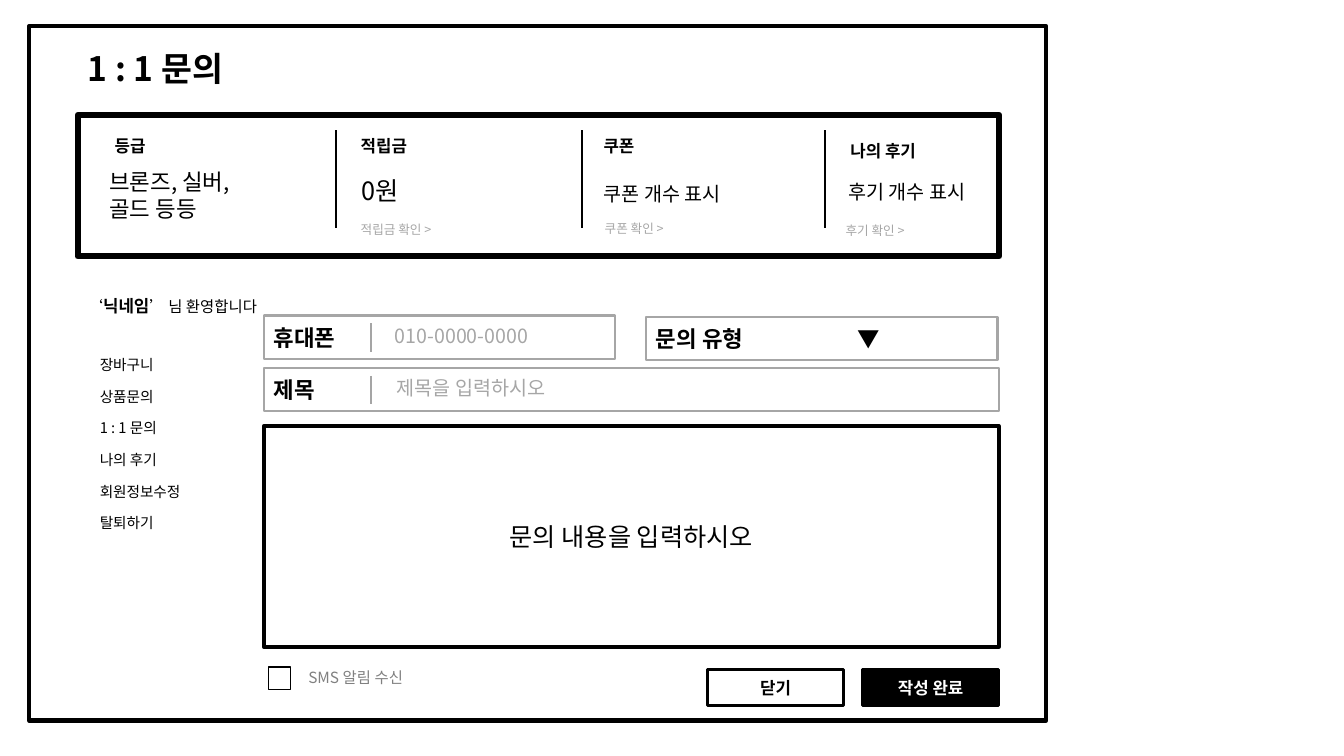
import pptx
import pptx.util
import pptx.dml.color
import pptx.enum.shapes
import pptx.enum.text
import pptx.oxml.ns
import lxml.etree

Cm, Pt = pptx.util.Cm, pptx.util.Pt
RGB = pptx.dml.color.RGBColor
ALIGN, ANCHOR = pptx.enum.text.PP_ALIGN, pptx.enum.text.MSO_ANCHOR
qn = pptx.oxml.ns.qn

FONT = "Noto Sans CJK KR"
BLACK, WHITE = RGB(0, 0, 0), RGB(255, 255, 255)
SILVER, RULE, GRAY = RGB(0xA6, 0xA6, 0xA6), RGB(0xA5, 0xA5, 0xA5), RGB(0x80, 0x80, 0x80)

# Content; positions and lengths in cm
TITLE = "1 : 1 문의"
GREETING = [("‘", 11, False), ("닉네임", 12, True), ("’ 님 환영합니다", 11, False)]
MENU = ["장바구니", "상품문의", "1 : 1 문의", "나의 후기", "회원정보수정", "탈퇴하기"]
# Each summary part: text, left, top, (width, size for values)
SUMMARY = [
    {"label": ("등급", 2.64, 3.3), "value": ("브론즈, 실버,골드 등등", 2.51, 4.11, 3.86, 16)},
    {"label": ("적립금", 8.84, 3.3), "value": ("0원", 8.86, 4.29, 3.58, 18),
     "link": ("적립금 확인 >", 8.84, 5.46)},
    {"label": ("쿠폰", 14.96, 3.3), "value": ("쿠폰 개수 표시", 14.96, 4.47, 4.88, 14),
     "link": ("쿠폰 확인 >", 14.99, 5.44)},
    {"label": ("나의 후기", 21.18, 3.43), "value": ("후기 개수 표시", 21.13, 4.42, 4.42, 14),
     "link": ("후기 확인 >", 21.06, 5.49)},
]
# Label, left, top, width, hint, hint left
FIELDS = [
    ("휴대폰", 6.65, 7.95, 8.86, "010-0000-0000", 9.7),
    ("제목", 6.65, 9.27, 18.52, "제목을 입력하시오", 9.75),
    ("문의 유형\t▼", 16.28, 7.98, 8.86, None, None),
]
MESSAGE = "문의 내용을 입력하시오"
SMS = "SMS 알림 수신"
BUTTONS = [("닫기", WHITE, BLACK), ("작성 완료", BLACK, WHITE)]

prs = pptx.Presentation()
prs.slide_width, prs.slide_height = Cm(33.87), Cm(19.05)
slide = prs.slides.add_slide(prs.slide_layouts[1])


def apply(obj, fmt):
    for name, value in fmt.items():
        setattr(obj, name, value)


def place(sp, left, top, width, height):
    apply(sp, {"left": Cm(left), "top": Cm(top), "width": Cm(width), "height": Cm(height)})


def add_run(p, text, size, color=BLACK, bold=False):
    r = p.add_run()
    r.text = text
    apply(r.font, {"name": FONT, "size": Pt(size), "bold": bold})
    r.font.color.rgb = color
    ea = lxml.etree.Element(qn("a:ea"), typeface=FONT)
    r.font._element.find(qn("a:latin")).addnext(ea)


def add_text(text, left, top, width, height, size, **fmt):
    tf = slide.shapes.add_textbox(Cm(left), Cm(top), Cm(width), Cm(height)).text_frame
    tf.word_wrap = True
    if text:
        add_run(tf.paragraphs[0], text, size, **fmt)
    return tf


def add_box(left, top, width, height, weight, line=BLACK, fill=None):
    sp = slide.shapes.add_shape(pptx.enum.shapes.MSO_SHAPE.RECTANGLE,
                                Cm(left), Cm(top), Cm(width), Cm(height))
    sp.shadow.inherit = False
    if fill is None:
        sp.fill.background()
    else:
        sp.fill.solid()
        sp.fill.fore_color.rgb = fill
    sp.line.color.rgb, sp.line.width = line, Pt(weight)
    return sp


def label_box(sp, text, size, align=ALIGN.CENTER, **fmt):
    apply(sp.text_frame, {"word_wrap": True, "vertical_anchor": ANCHOR.MIDDLE})
    p = sp.text_frame.paragraphs[0]
    p.alignment = align
    add_run(p, text, size, **fmt)
    return p


def add_divider(x, top, bottom, weight, color):
    cx = slide.shapes.add_connector(pptx.enum.shapes.MSO_CONNECTOR.STRAIGHT,
                                    Cm(x), Cm(top), Cm(x), Cm(bottom))
    cx.line.color.rgb, cx.line.width = color, Pt(weight)
    lxml.etree.SubElement(cx._element.spPr, qn("a:effectLst"))


# Title and side menu in the template's placeholders
title, menu = slide.placeholders
place(title, 1.96, 1.07, 6, 1.27)
place(menu, 2.26, 8.84, 4, 5.18)
for sp, lines, size, bold, gap in ((title, [TITLE], 24, True, 0), (menu, MENU, 10.5, False, 10)):
    tf = sp.text_frame
    apply(tf, {"word_wrap": True, "vertical_anchor": ANCHOR.TOP,
               "auto_size": pptx.enum.text.MSO_AUTO_SIZE.NONE})
    for i, text in enumerate(lines):
        p = tf.add_paragraph() if i else tf.paragraphs[0]
        apply(p, {"alignment": ALIGN.LEFT, "space_before": Pt(0), "space_after": Pt(gap)})
        pPr = p._p.get_or_add_pPr()
        pPr.set("marL", "0")
        pPr.set("indent", "0")
        lxml.etree.SubElement(pPr, qn("a:buNone"))
        add_run(p, text, size, bold=bold)

# Page frame and greeting
add_box(0.74, 0.66, 25.63, 17.5, 3)
p = add_text("", 1.96, 7.34, 4.78, 0.76, 11).paragraphs[0]
for text, size, bold in GREETING:
    add_run(p, text, size, bold=bold)

# Member summary
add_box(1.96, 2.9, 23.22, 3.56, 4.5)
for x in (8.46, 14.66, 20.8):
    add_divider(x, 3.28, 5.74, 1.5, BLACK)
for col in SUMMARY:
    add_text(*col["label"], 3.58, 0.76, 12, bold=True)
    text, left, top, width, size = col["value"]
    add_text(text, left, top, width, 0.9, size)
    if "link" in col:
        add_text(*col["link"], 3, 0.64, 9, color=SILVER)

# Input fields
FIELD_H = 1.09
for text, left, top, width, hint, hint_left in FIELDS:
    sp = add_box(left, top, width, FIELD_H, 1.5, SILVER, WHITE)
    p = label_box(sp, text, 16, ALIGN.LEFT, bold=True)
    if hint:
        add_divider(9.35, top + 0.2, top + FIELD_H - 0.17, 1, RULE)
        add_text(hint, hint_left, top + 0.09, 5.5, 0.86, 14, color=SILVER)
    else:
        tabs = lxml.etree.SubElement(p._p.get_or_add_pPr(), qn("a:tabLst"))
        lxml.etree.SubElement(tabs, qn("a:tab"), pos=str(Cm(5.08)), algn="l")

# Message area
label_box(add_box(6.65, 10.74, 18.52, 5.56, 3), MESSAGE, 18)

# SMS option and buttons
add_box(6.76, 16.81, 0.56, 0.56, 1)
add_text(SMS, 7.52, 16.71, 4, 0.74, 11, color=GRAY)
for i, (text, fill, color) in enumerate(BUTTONS):
    sp = add_box(17.83 + i * 3.91, 16.87, 3.43, 0.91, 2.25, BLACK, fill)
    label_box(sp, text, 12, color=color, bold=True)

prs.save("out.pptx")
